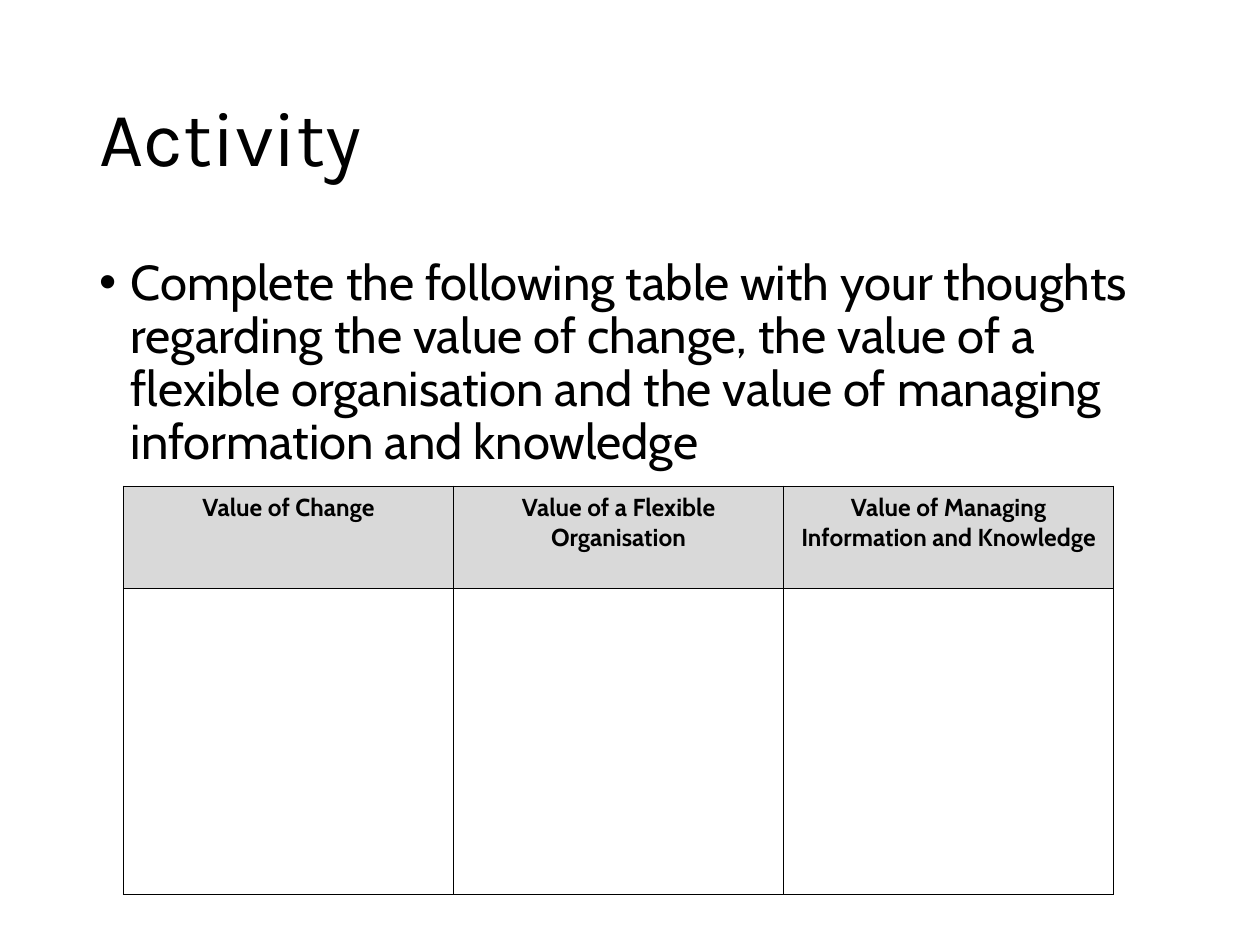
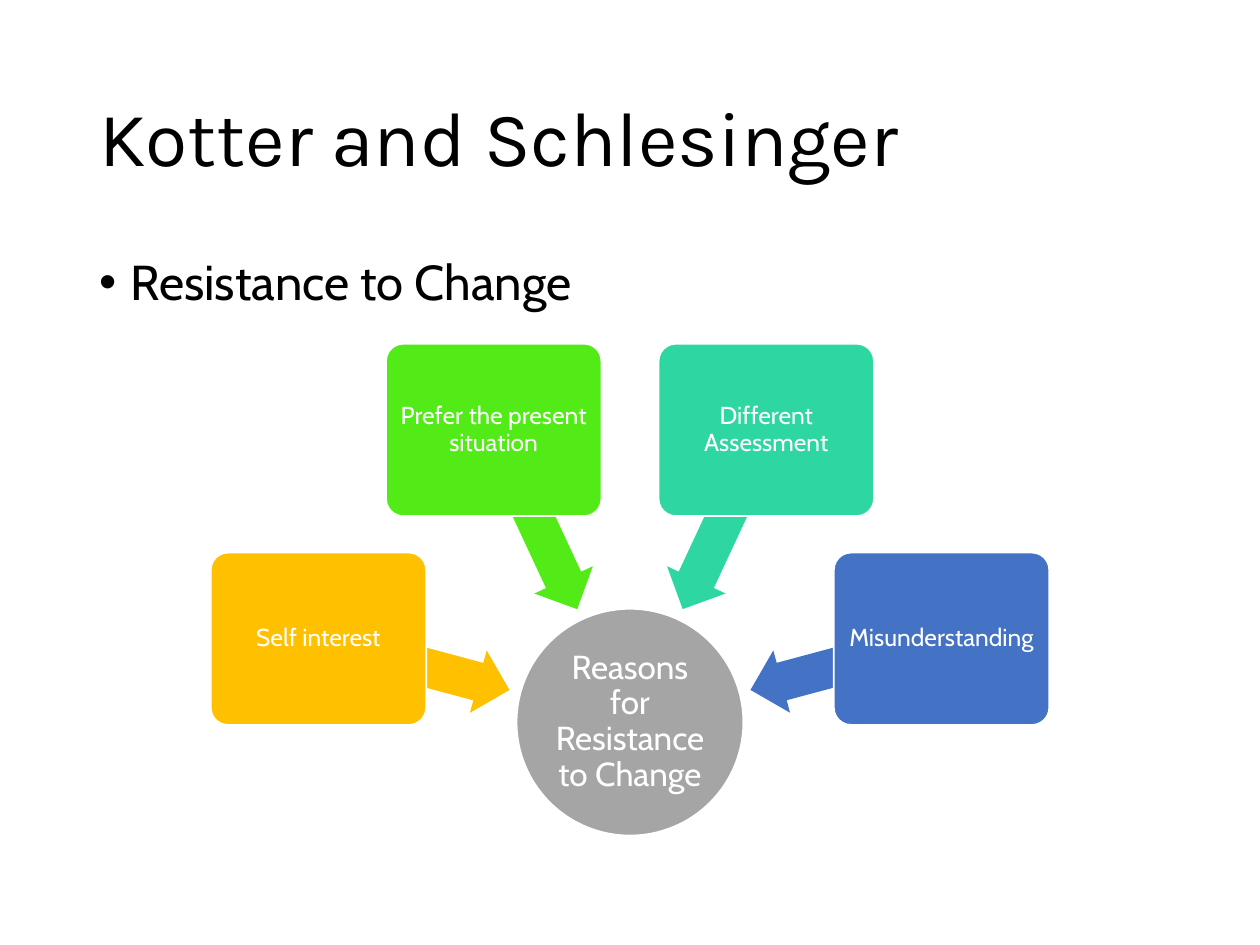
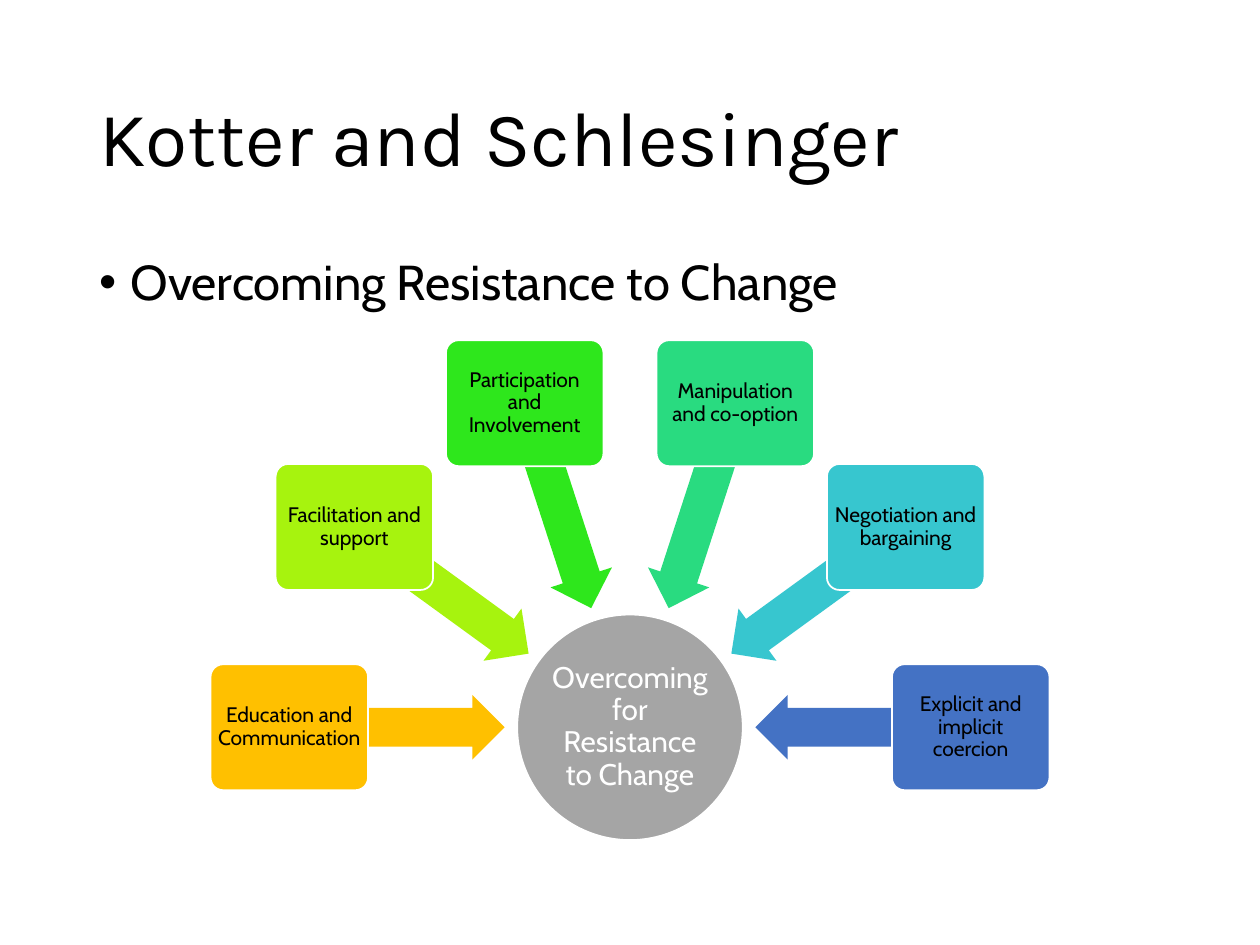
"""Build three slides on the value of change and on resistance to it."""
import math
import lxml.etree
import pptx
import pptx.dml.color
import pptx.enum.shapes
import pptx.enum.text
import pptx.oxml
import pptx.oxml.ns
import pptx.util

Pt = pptx.util.Pt
RGB = pptx.dml.color.RGBColor.from_string
SHAPE = pptx.enum.shapes.MSO_SHAPE
ALIGN = pptx.enum.text.PP_ALIGN
ANCHOR = pptx.enum.text.MSO_ANCHOR
qn = pptx.oxml.ns.qn

THEME = {
    "black": "000000",
    "white": "FFFFFF",
    "header": "D9D9D9",
    "hub": "A5A5A5",
    "title": {"name": "Karla", "size": Pt(44), "bold": False},
    "body": {"name": "Cabin", "size": Pt(28), "bold": False},
    "table": {"name": "Cabin", "size": Pt(14), "bold": True},
    "large hub": {"name": "Cabin", "size": Pt(19), "bold": False},
    "small hub": {"name": "Cabin", "size": Pt(17), "bold": False},
    "large reason": {"name": "Cabin", "size": Pt(14), "bold": False},
    "small reason": {"name": "Cabin", "size": Pt(12), "bold": False},
}


def write(frame, text, style, color, align=ALIGN.LEFT, anchor=ANCHOR.TOP, spacing=0.9, margin=None):
    """Fill a text frame with one formatted paragraph."""
    frame.word_wrap = True
    frame.vertical_anchor = anchor
    if margin is not None:
        for side in ("left", "top", "right", "bottom"):
            setattr(frame, f"margin_{side}", Pt(margin))
    para = frame.paragraphs[0]
    span = para.add_run()
    span.text = text
    para_format = {"alignment": align, "line_spacing": spacing, "space_before": Pt(0)}
    for target, values in ((para, para_format), (span.font, THEME[style])):
        for name, value in values.items():
            setattr(target, name, value)
    span.font.color.rgb = RGB(THEME[color])
    return para


def add_figure(page, kind, center_x, center_y, width, height, fill, outlined=True):
    """Add a filled preset shape around a centre point."""
    figure = page.shapes.add_shape(
        kind, Pt(center_x - width / 2), Pt(center_y - height / 2), Pt(width), Pt(height))
    figure.shadow.inherit = False
    figure.fill.solid()
    figure.fill.fore_color.rgb = RGB(fill)
    if outlined:
        figure.line.color.rgb = RGB(THEME["white"])
        figure.line.width = Pt(1)
    else:
        figure.line.fill.background()
    return figure


deck = pptx.Presentation()
deck.slide_width, deck.slide_height = Pt(720), Pt(540)
layout = deck.slide_layouts[1]
for holder, top, height in zip(layout.placeholders, (28.8, 144), (104.4, 342.7)):
    holder.left, holder.top, holder.width, holder.height = Pt(49.5), Pt(top), Pt(621), Pt(height)

headings = [
    ("Activity", "Complete the following table with your thoughts regarding the value of change, "
     "the value of a flexible organisation and the value of managing information and knowledge"),
    ("Kotter and Schlesinger", "Resistance to Change"),
    ("Kotter and Schlesinger", "Overcoming Resistance to Change"),
]
pages = []
for title, body in headings:
    page = deck.slides.add_slide(layout)
    write(page.shapes.title.text_frame, title, "title", "black", anchor=ANCHOR.MIDDLE)
    frame = page.placeholders[1].text_frame
    frame.auto_size = pptx.enum.text.MSO_AUTO_SIZE.NONE
    properties = write(frame, body, "body", "black")._p.get_or_add_pPr()
    properties.set("marL", str(Pt(18)))
    properties.set("indent", str(Pt(-18)))
    bullet = lxml.etree.SubElement(properties, qn("a:buChar"))
    bullet.set("char", "•")
    pages.append(page)

columns = ["Value of Change", "Value of a Flexible Organisation",
           "Value of Managing Information and Knowledge"]
table = pages[0].shapes.add_table(2, 3, Pt(70.6), Pt(278), Pt(565.8), Pt(233.2)).table
table.horz_banding = False
for row, height in zip(table.rows, (58.2, 175)):
    row.height = Pt(height)
for column, heading in enumerate(columns):
    table.columns[column].width = Pt(188.6)
    write(table.cell(0, column).text_frame, heading, "table", "black", ALIGN.CENTER, spacing=1.0)
for position, cell in enumerate(table.iter_cells()):
    properties = cell._tc.get_or_add_tcPr()
    for edge in ("lnL", "lnR", "lnT", "lnB"):
        line = lxml.etree.SubElement(properties, qn(f"a:{edge}"), w=str(Pt(1)))
        paint = lxml.etree.SubElement(line, qn("a:solidFill"))
        lxml.etree.SubElement(paint, qn("a:srgbClr"), val=THEME["black"])
    cell.fill.solid()
    cell.fill.fore_color.rgb = RGB(THEME["header" if position < len(columns) else "white"])

diagrams = [
    {"page": pages[1], "hub": "Reasons for Resistance to Change", "size": "large", "color": "white",
     "center_y": 412.7, "diameter": 129.6, "orbit": 184.3, "box": (123.1, 98.5), "arrow": 113,
     "start": 195, "step": 50,
     "reasons": [("Self interest", "FFC000"), ("Prefer the present situation", "53EB17"),
                 ("Different Assessment", "2ED7A1"), ("Misunderstanding", "4472C4")]},
    {"page": pages[2], "hub": "Overcoming for Resistance to Change", "size": "small", "color": "black",
     "center_y": 415.6, "diameter": 128.9, "orbit": 194.7, "box": (90, 72), "arrow": 123.1,
     "start": 180, "step": 36,
     "reasons": [("Education and Communication", "FFC000"), ("Facilitation and support", "A7F30E"),
                 ("Participation and Involvement", "2EE71C"), ("Manipulation and co-option", "29DB80"),
                 ("Negotiation and bargaining", "37C6CF"), ("Explicit and implicit coercion", "4472C4")]},
]
center_x = 360
for diagram in diagrams:
    page, center_y, size = diagram["page"], diagram["center_y"], diagram["size"]
    hub = add_figure(page, SHAPE.OVAL, center_x, center_y, diagram["diameter"], diagram["diameter"],
                     THEME["hub"])
    write(hub.text_frame, diagram["hub"], f"{size} hub", "white", ALIGN.CENTER, ANCHOR.MIDDLE, margin=0.5)
    for index, (reason, fill) in enumerate(diagram["reasons"]):
        angle = diagram["start"] + index * diagram["step"]
        across, down = math.cos(math.radians(angle)), math.sin(math.radians(angle))
        orbit = diagram["orbit"]
        reach = orbit - diagram["arrow"] / 2
        arrow = add_figure(page, SHAPE.LEFT_ARROW, center_x + reach * across, center_y + reach * down,
                           diagram["arrow"], 36.9, fill, outlined=False)
        arrow.rotation = angle % 360
        arrow.adjustments[0], arrow.adjustments[1] = 0.6, 0.5
        box = add_figure(page, SHAPE.ROUNDED_RECTANGLE, center_x + orbit * across,
                         center_y + orbit * down, *diagram["box"], fill)
        box.adjustments[0] = 0.1
        write(box.text_frame, reason, f"{size} reason", diagram["color"], ALIGN.CENTER, ANCHOR.MIDDLE,
              margin=2)

deck.save("out.pptx")
